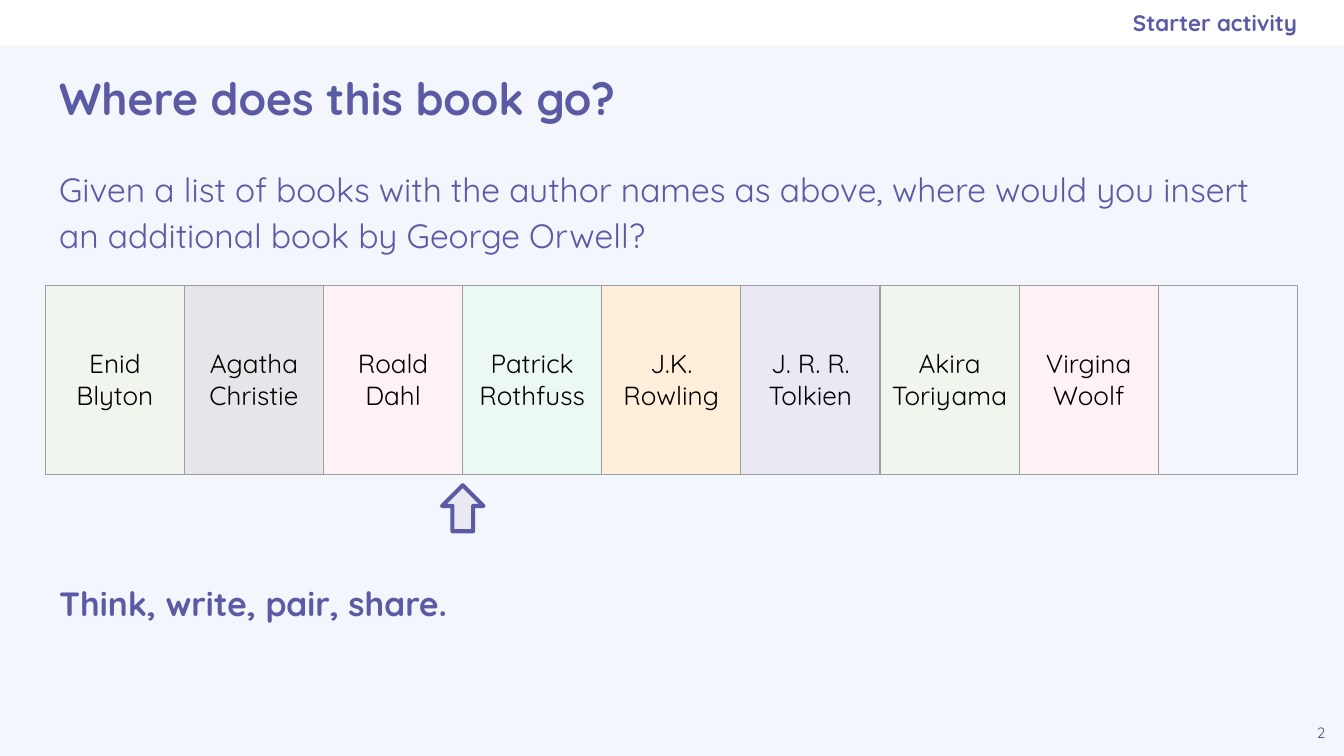
from dataclasses import dataclass

from lxml.etree import SubElement
from pptx import Presentation
from pptx.dml.color import RGBColor
from pptx.enum.shapes import MSO_SHAPE
from pptx.enum.text import MSO_ANCHOR, MSO_AUTO_SIZE, PP_ALIGN
from pptx.oxml.ns import qn
from pptx.util import Pt


@dataclass(frozen=True)
class Theme:
    font: str = "Quicksand"
    background: str = "F3F6FC"
    white: str = "FFFFFF"
    black: str = "000000"
    purple: str = "5B5BA5"
    dark_purple: str = "494985"
    lavender: str = "E9E9F3"
    green: str = "F0F6ED"
    grey: str = "E6E6EA"
    pink: str = "FEF2F6"
    mint: str = "ECF8F5"
    orange: str = "FFEFDA"
    border: str = "9E9E9E"
    title_size: float = 24
    body_size: float = 18
    cell_size: float = 14
    label_size: float = 12
    number_size: float = 8


def set_attributes(target, values):
    for name, value in values.items():
        setattr(target, name, value)


def place(shape, left, top, width, height):
    set_attributes(shape, {"left": Pt(left), "top": Pt(top),
                           "width": Pt(width), "height": Pt(height)})


class SlideBuilder:
    """Holds the theme and the slide being drawn."""

    def __init__(self, slide, theme):
        self.slide = slide
        self.theme = theme
        fill = slide.background.fill
        fill.solid()
        fill.fore_color.rgb = RGBColor.from_string(theme.background)

    def add_text(self, paragraph, text, size, color, bold=False, **formats):
        """Add one styled run; formats are paragraph attributes."""
        set_attributes(paragraph, formats)
        run = paragraph.add_run()
        run.text = text
        set_attributes(run.font, {"name": self.theme.font, "size": Pt(size), "bold": bold})
        run.font.color.rgb = RGBColor.from_string(color)

    def prepare_frame(self, shape, anchor, right=7.2):
        frame = shape.text_frame
        set_attributes(frame, {
            "word_wrap": True, "auto_size": MSO_AUTO_SIZE.NONE, "vertical_anchor": anchor,
            "margin_left": Pt(7.2), "margin_top": Pt(7.2),
            "margin_right": Pt(right), "margin_bottom": Pt(7.2)})
        return frame

    def title(self, text, box):
        shape = self.slide.shapes.title
        place(shape, *box)
        frame = self.prepare_frame(shape, MSO_ANCHOR.MIDDLE)
        self.add_text(frame.paragraphs[0], text, self.theme.title_size, self.theme.purple,
                      bold=True, alignment=PP_ALIGN.LEFT)

    def body(self, items, box):
        """Fill the body placeholder with (text, bold, space before) items."""
        shape = self.slide.placeholders[1]
        place(shape, *box)
        frame = self.prepare_frame(shape, MSO_ANCHOR.TOP)
        for index, (text, bold, space) in enumerate(items):
            paragraph = frame.add_paragraph() if index else frame.paragraphs[0]
            properties = paragraph._p.get_or_add_pPr()
            properties.set("marL", "0")
            properties.set("indent", "0")
            SubElement(properties, qn("a:buNone"))
            self.add_text(paragraph, text, self.theme.body_size, self.theme.purple, bold=bold,
                          line_spacing=1.15, space_before=Pt(space))

    def text_box(self, text, box, size, color, bold=False, alignment=PP_ALIGN.LEFT,
                 anchor=MSO_ANCHOR.TOP, right=7.2):
        shape = self.slide.shapes.add_textbox(*(Pt(length) for length in box))
        frame = self.prepare_frame(shape, anchor, right)
        self.add_text(frame.paragraphs[0], text, size, color, bold, alignment=alignment)

    def shape(self, kind, box, fill, line=None, line_width=0):
        shape = self.slide.shapes.add_shape(kind, *(Pt(length) for length in box))
        shape.shadow.inherit = False
        shape.fill.solid()
        shape.fill.fore_color.rgb = RGBColor.from_string(fill)
        if line is None:
            shape.line.fill.background()
        else:
            shape.line.width = Pt(line_width)
            shape.line.color.rgb = RGBColor.from_string(line)
            SubElement(shape.line._get_or_add_ln(), qn("a:round"))

    def cell_borders(self, cell):
        properties = cell._tc.get_or_add_tcPr()
        for index, side in enumerate(("a:lnL", "a:lnR", "a:lnT", "a:lnB")):
            line = properties.makeelement(qn(side), {"w": str(Pt(0.75))})
            fill = SubElement(line, qn("a:solidFill"))
            SubElement(fill, qn("a:srgbClr"), val=self.theme.border)
            properties.insert(index, line)

    def book_shelf(self, books, left, top, column_width, height):
        """Draw a one-row table from (name lines, fill) pairs; None means no fill."""
        table = self.slide.shapes.add_table(
            1, len(books), Pt(left), Pt(top), Pt(column_width * len(books)), Pt(height)).table
        set_attributes(table, {"first_row": False, "horz_banding": False})
        for column, (lines, fill) in enumerate(books):
            table.columns[column].width = Pt(column_width)
            cell = table.cell(0, column)
            set_attributes(cell, {
                "vertical_anchor": MSO_ANCHOR.MIDDLE,
                "margin_left": Pt(4.3), "margin_right": Pt(4.3),
                "margin_top": Pt(7.2), "margin_bottom": Pt(7.2)})
            if fill is None:
                cell.fill.background()
            else:
                cell.fill.solid()
                cell.fill.fore_color.rgb = RGBColor.from_string(fill)
            self.cell_borders(cell)
            frame = cell.text_frame
            for index, text in enumerate(lines):
                paragraph = frame.add_paragraph() if index else frame.paragraphs[0]
                self.add_text(paragraph, text, self.theme.cell_size, self.theme.black,
                              alignment=PP_ALIGN.CENTER)


def main():
    theme = Theme()
    presentation = Presentation()
    set_attributes(presentation, {"slide_width": Pt(720), "slide_height": Pt(405)})
    slide = presentation.slides.add_slide(presentation.slide_layouts[1])
    builder = SlideBuilder(slide, theme)

    margin, band, content_width = 24.5, 24.5, 671
    builder.shape(MSO_SHAPE.RECTANGLE, (0, 0, 720, band), theme.white)
    builder.title("Where does this book go?", (margin, band, content_width, 55.5))
    builder.text_box("Starter activity", (414, 0, 281, band), theme.label_size, theme.purple,
                     bold=True, alignment=PP_ALIGN.RIGHT, anchor=MSO_ANCHOR.MIDDLE, right=0)
    builder.text_box("2", (695.5, 380.5, 24.5, 24.5), theme.number_size, theme.dark_purple,
                     alignment=PP_ALIGN.CENTER)
    builder.body([
        ("Given a list of books with the author names as above, where would you insert "
         "an additional book by George Orwell?", False, 0),
        ("Think, write, pair, share.", True, 172),
    ], (margin, 80, content_width, 300))

    books = [
        (("Enid", "Blyton"), theme.green),
        (("Agatha", "Christie"), theme.grey),
        (("Roald", "Dahl"), theme.pink),
        (("Patrick", "Rothfuss"), theme.mint),
        (("J.K.", "Rowling"), theme.orange),
        (("J. R. R.", "Tolkien"), theme.lavender),
        (("Akira", "Toriyama"), theme.green),
        (("Virgina", "Woolf"), theme.pink),
        ((), None),
    ]
    builder.book_shelf(books, 24.3, 152.8, 74.55, 101.3)
    builder.shape(MSO_SHAPE.UP_ARROW, (236.8, 260, 22.2, 24.6), theme.lavender,
                  theme.purple, 2.25)
    presentation.save("out.pptx")


if __name__ == "__main__":
    main()
